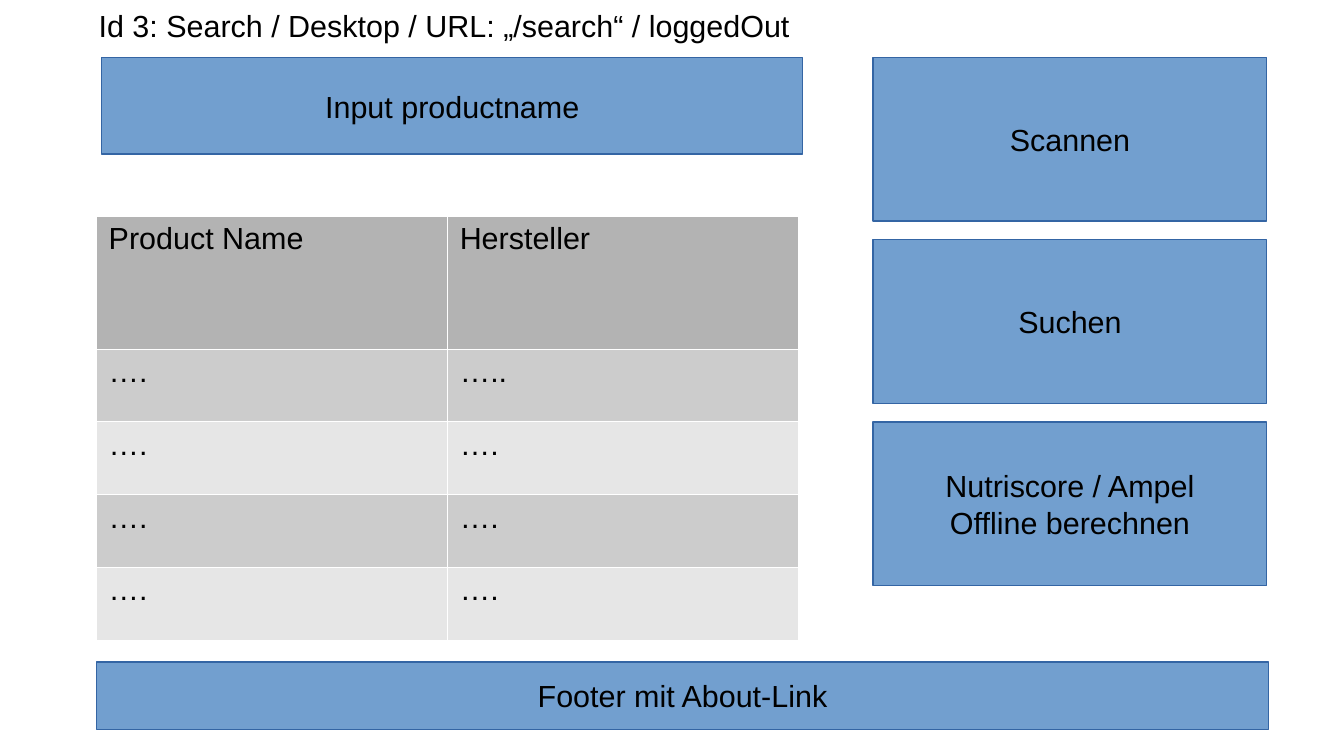
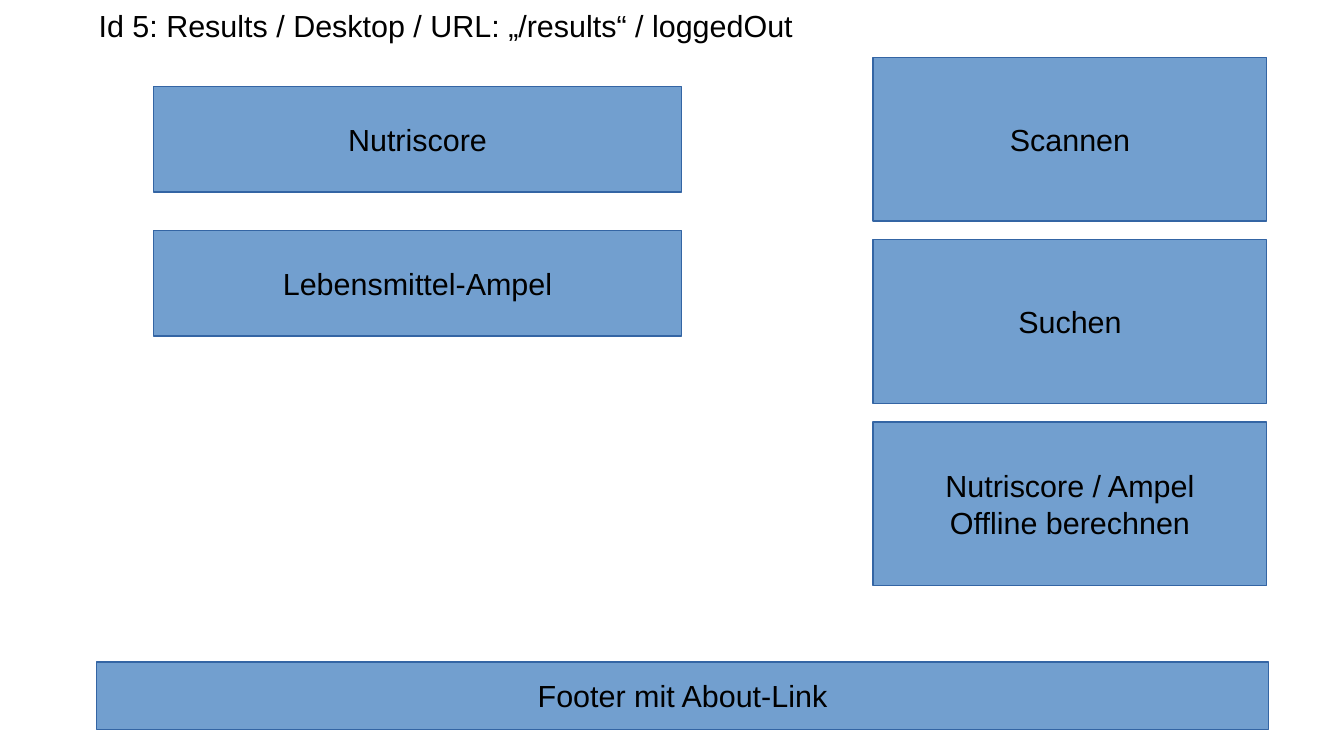
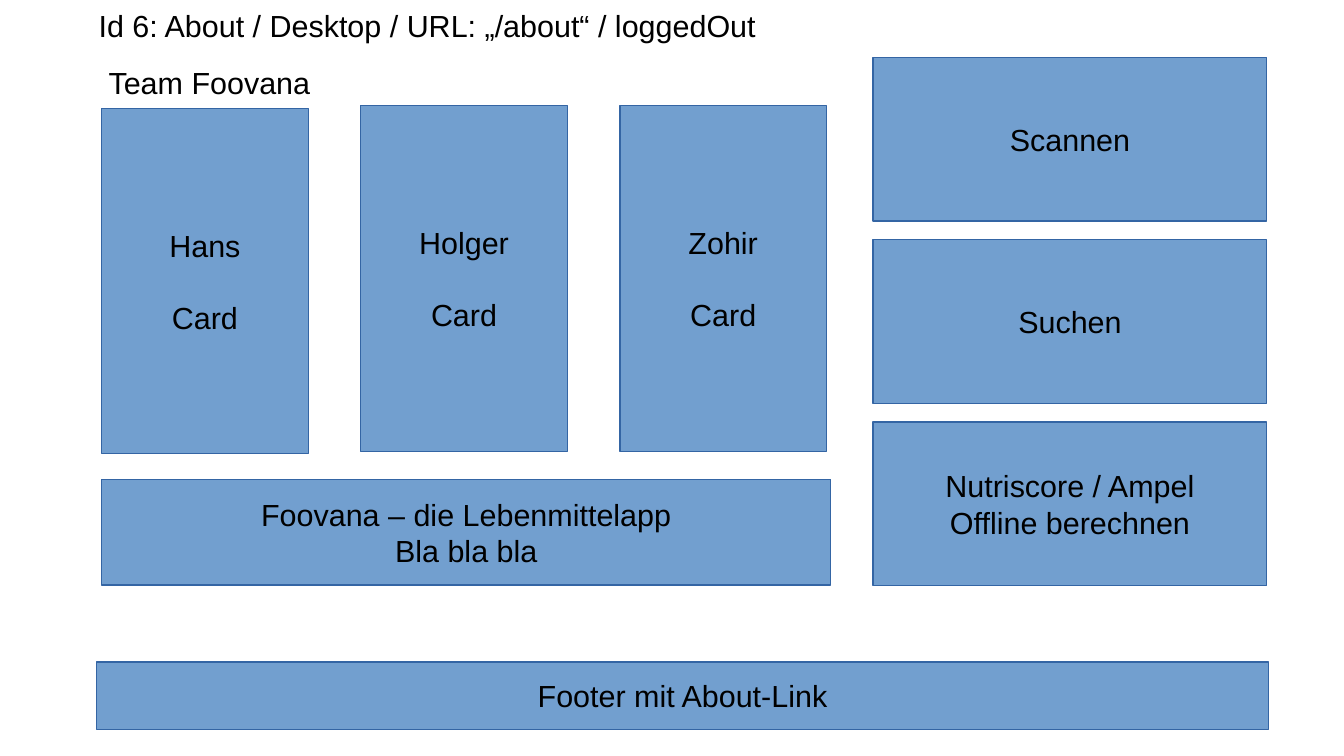
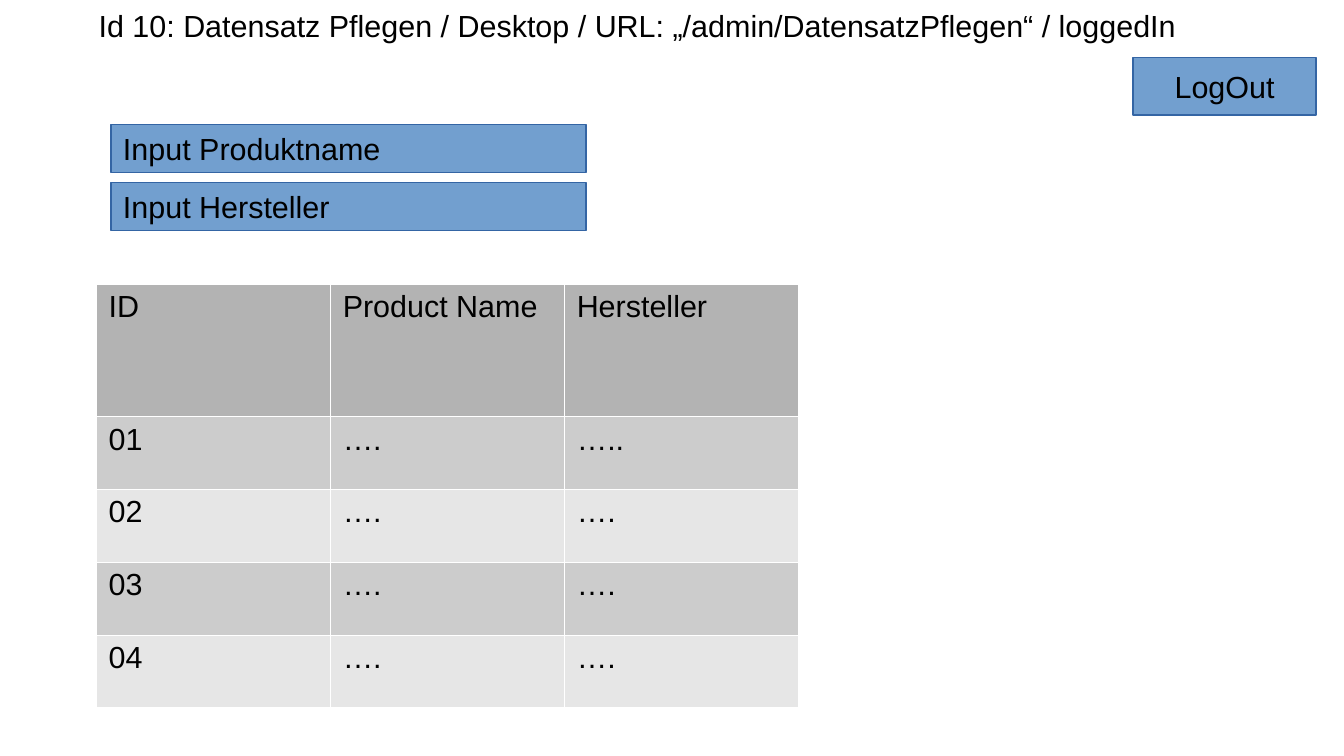
from lxml.etree import SubElement
from pptx import Presentation
from pptx.dml.color import RGBColor
from pptx.enum.shapes import MSO_SHAPE
from pptx.enum.text import MSO_ANCHOR, MSO_AUTO_SIZE, PP_ALIGN
from pptx.oxml.ns import qn
from pptx.util import Pt

COLORS = {
    "text": "000000",
    "box": "729FCF",
    "outline": "3465A4",
    "header": "B3B3B3",
    "odd_row": "CCCCCC",
    "even_row": "E6E6E6",
    "grid": "FFFFFF",
}
FONT = {"name": "Arial", "size": Pt(18), "bold": False}
FRAME = {
    "word_wrap": True,
    "auto_size": MSO_AUTO_SIZE.NONE,
    "margin_left": Pt(7.2),
    "margin_right": Pt(7.2),
    "margin_top": Pt(3.6),
    "margin_bottom": Pt(3.6),
}

# Regions as left, top, width, height in points
SLIDE_SIZE = (793.5, 446.5)
TITLE = (51, 0.75, 698, 27)
MENU = (515.5, 34, 232.5, 312)
FOOTER = (57, 391, 692, 39.75)


def color(name):
    return RGBColor.from_string(COLORS[name])


def points(box):
    return [Pt(value) for value in box]


def apply(target, values):
    for name, value in values.items():
        setattr(target, name, value)


def write(frame, lines, align=PP_ALIGN.LEFT, gap=0):
    """Fill a text frame with one paragraph per line, gap points apart."""
    for index, line in enumerate(lines):
        para = frame.add_paragraph() if index else frame.paragraphs[0]
        para.alignment = align
        para.space_before = Pt(gap if index else 0)
        span = para.add_run()
        span.text = line
        apply(span.font, FONT)
        span.font.color.rgb = color("text")


def add_box(page, box, *lines, align=PP_ALIGN.CENTER, gap=0):
    shape = page.shapes.add_shape(MSO_SHAPE.RECTANGLE, *points(box))
    shape.shadow.inherit = False
    shape.fill.solid()
    shape.fill.fore_color.rgb = color("box")
    shape.line.color.rgb = color("outline")
    shape.line.width = Pt(0)
    apply(shape.text_frame, {**FRAME, "vertical_anchor": MSO_ANCHOR.MIDDLE})
    write(shape.text_frame, lines, align, gap)


def add_stack(page, box, entries, gap, align=PP_ALIGN.CENTER):
    """Share the height of the box among equal boxes."""
    left, top, width, height = box
    each = (height - gap * (len(entries) - 1)) / len(entries)
    for index, lines in enumerate(entries):
        place = (left, top + index * (each + gap), width, each)
        add_box(page, place, *lines, align=align)


def add_label(page, box, text):
    label = page.shapes.add_textbox(*points(box))
    apply(label.text_frame, FRAME)
    write(label.text_frame, [text])


def add_cards(page, box, cards, gap):
    """Place cards side by side, each with its own drop in points."""
    left, top, width, height = box
    each = (width - gap * (len(cards) - 1)) / len(cards)
    for index, (name, drop) in enumerate(cards):
        place = (left + index * (each + gap), top + drop, each, height)
        add_box(page, place, name, "Card", gap=21)


def style_cell(cell, fill):
    properties = cell._tc.get_or_add_tcPr()
    for side in ("a:lnL", "a:lnR", "a:lnT", "a:lnB"):
        line = SubElement(properties, qn(side), w="720")
        paint = SubElement(line, qn("a:solidFill"))
        SubElement(paint, qn("a:srgbClr"), val=COLORS["grid"])
    cell.fill.solid()
    cell.fill.fore_color.rgb = color(fill)


def add_grid(page, box, rows, header_height=78.5):
    width, height = box[2:]
    table = page.shapes.add_table(len(rows), len(rows[0]), *points(box)).table
    for column in table.columns:
        column.width = Pt(width / len(rows[0]))
    row_height = (height - header_height) / (len(rows) - 1)
    for index, values in enumerate(rows):
        table.rows[index].height = Pt(row_height if index else header_height)
        band = "odd_row" if index % 2 else "even_row"
        for cell, value in zip(table.rows[index].cells, values):
            style_cell(cell, band if index else "header")
            write(cell.text_frame, [value])


def add_page(deck, title):
    page = deck.slides.add_slide(deck.slide_layouts[5])
    heading = page.shapes.title
    apply(heading, dict(zip(("left", "top", "width", "height"), points(TITLE))))
    apply(heading.text_frame, {**FRAME, "vertical_anchor": MSO_ANCHOR.TOP})
    write(heading.text_frame, [title])
    return page


def add_public_page(deck, title):
    """Page with the menu on the right and the footer."""
    page = add_page(deck, title)
    entries = [["Scannen"], ["Suchen"], ["Nutriscore / Ampel", "Offline berechnen"]]
    add_stack(page, MENU, entries, gap=11)
    add_box(page, FOOTER, "Footer mit About-Link")
    return page


def build_search(deck):
    page = add_public_page(deck, "Id 3: Search / Desktop / URL: „/search“ / loggedOut")
    add_box(page, (60, 34, 414, 57), "Input productname")
    rows = [("Product Name", "Hersteller"), ("….", "….."), *[("….", "….")] * 3]
    add_grid(page, (57, 127.5, 414.5, 250.5), rows)


def build_results(deck):
    page = add_public_page(deck, "Id 5: Results / Desktop / URL: „/results“ / loggedOut")
    add_stack(page, (90.5, 51, 312, 147.5), [["Nutriscore"], ["Lebensmittel-Ampel"]], gap=22.5)


def build_about(deck):
    page = add_public_page(deck, "Id 6: About / Desktop / URL: „/about“ / loggedOut")
    add_box(page, (60, 283, 430.5, 62.5), "Foovana – die Lebenmittelapp", "Bla bla bla")
    cards = [("Hans", 1.5), ("Holger", 0), ("Zohir", 0)]
    add_cards(page, (60, 62.5, 428, 204), cards, gap=31)
    add_label(page, (57, 34, 209.5, 27), "Team Foovana")


def build_records(deck):
    page = add_page(
        deck, "Id 10: Datensatz Pflegen / Desktop / URL: „/admin/DatensatzPflegen“ / loggedIn"
    )
    fields = [["Input Produktname"], ["Input Hersteller"]]
    add_stack(page, (65.5, 73.5, 280.5, 62.5), fields, gap=6, align=PP_ALIGN.LEFT)
    add_box(page, (669, 34, 108, 34), "LogOut")
    rows = [("ID", "Product Name", "Hersteller"), ("01", "….", "…..")]
    rows += [(f"{number:02}", "….", "….") for number in range(2, 5)]
    add_grid(page, (57, 167.5, 414.5, 250.5), rows)


def main():
    deck = Presentation()
    deck.slide_width, deck.slide_height = points(SLIDE_SIZE)
    for build in (build_search, build_results, build_about, build_records):
        build(deck)
    deck.save("out.pptx")


if __name__ == "__main__":
    main()
